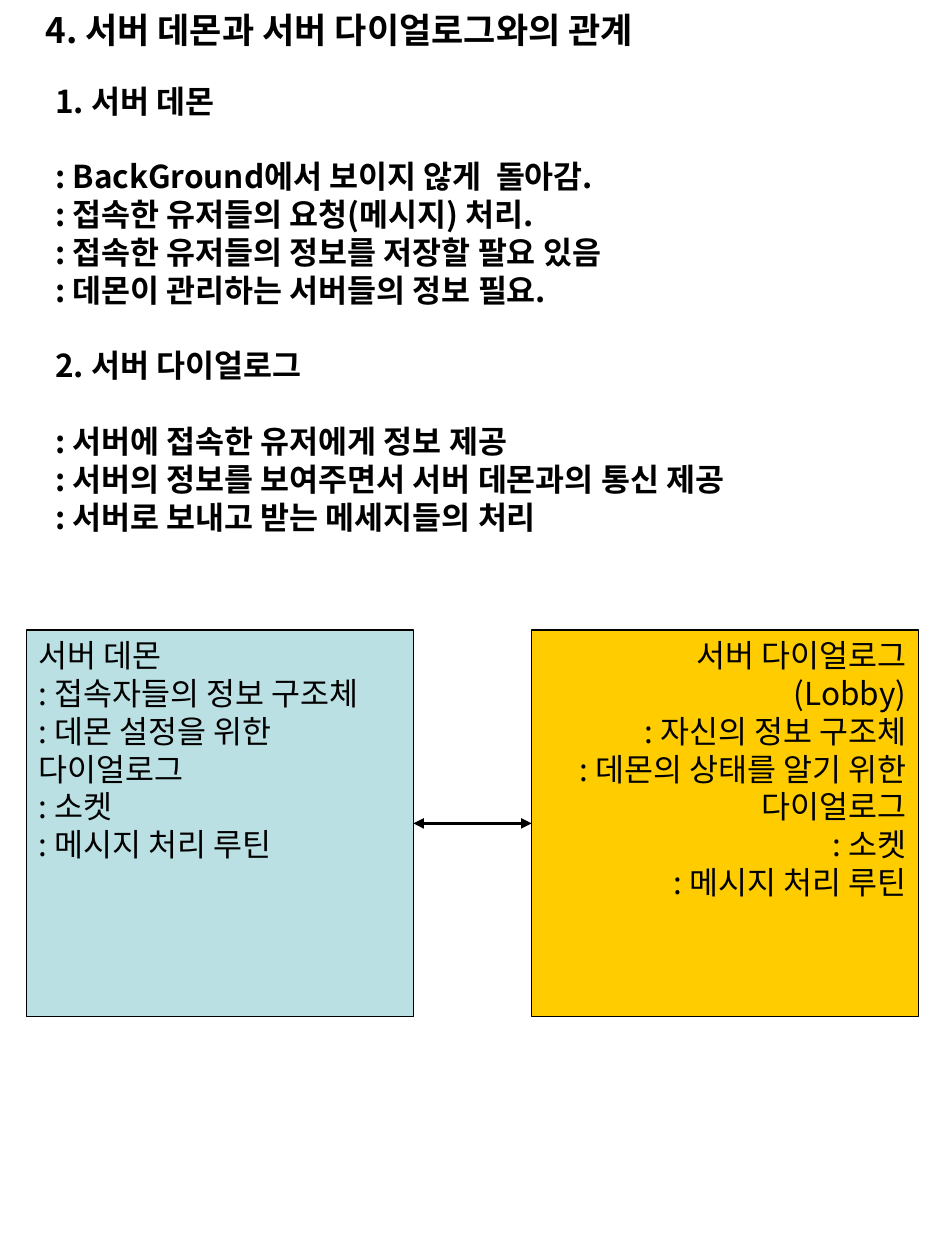
from pptx import Presentation
from pptx.dml.color import RGBColor as RGB
from pptx.enum.shapes import MSO_CONNECTOR as LINE, MSO_SHAPE as SHAPE
from pptx.enum.text import MSO_ANCHOR as ANCHOR, MSO_AUTO_SIZE as FIT, PP_ALIGN as ALIGN
from pptx.oxml.ns import qn
from pptx.util import Inches, Pt
from lxml.etree import SubElement as Sub

THEME = {
    "font": "Noto Sans CJK KR",
    "ink": RGB.from_string("000000"),
    "daemon": RGB.from_string("BBE0E3"),
    "dialog": RGB.from_string("FFCC00"),
    "title": 20,
    "body": 18,
    "pitch": 1.2,
}


def write(shape, lines, size, bold=False, align=ALIGN.LEFT):
    """Fill a shape with one paragraph per line."""
    frame = shape.text_frame
    frame.text = "\n".join(lines)
    frame.word_wrap = True
    frame.auto_size = FIT.NONE
    frame.vertical_anchor = ANCHOR.TOP
    for para in frame.paragraphs:
        para.alignment = align
        para.line_spacing = Pt(size * THEME["pitch"])
        for run in para.runs:
            font = run.font
            font.name, font.size, font.bold = THEME["font"], Pt(size), bold
            font.color.rgb = THEME["ink"]
            Sub(run._r.get_or_add_rPr(), qn("a:ea"), typeface=THEME["font"])


deck = Presentation()
deck.slide_width, deck.slide_height = Inches(7.5), Inches(10)
slide = deck.slides.add_slide(deck.slide_layouts[5])
shapes = slide.shapes

# Title
title = shapes.title
title.left, title.top = Inches(0.26), Inches(0.02)
title.width, title.height = Inches(5.01), Inches(0.44)
write(title, ["4. 서버 데몬과 서버 다이얼로그와의 관계"], THEME["title"], bold=True)
title.text_frame.word_wrap = False

# Notes on the two parts, with a blank line's gap around each heading
notes = [
    "1. 서버 데몬",
    ": BackGround에서 보이지 않게  돌아감.",
    ": 접속한 유저들의 요청(메시지) 처리.",
    ": 접속한 유저들의 정보를 저장할 팔요 있음",
    ": 데몬이 관리하는 서버들의 정보 필요.",
    "2. 서버 다이얼로그",
    ": 서버에 접속한 유저에게 정보 제공",
    ": 서버의 정보를 보여주면서 서버 데몬과의 통신 제공",
    ": 서버로 보내고 받는 메세지들의 처리",
]
body = shapes.add_textbox(Inches(0.34), Inches(0.6), Inches(6.79), Inches(4.08))
write(body, notes, THEME["body"], bold=True)
gap = Pt(THEME["body"] * THEME["pitch"])
for para in body.text_frame.paragraphs:
    if not para.text.startswith(":"):
        para.space_after = gap
        if para.text != notes[0]:
            para.space_before = gap

# Daemon and dialog boxes
parts = [
    (0.21, "daemon", ALIGN.LEFT,
     ["서버 데몬", ": 접속자들의 정보 구조체", ": 데몬 설정을 위한",
      "다이얼로그", ": 소켓", ": 메시지 처리 루틴"]),
    (4.22, "dialog", ALIGN.RIGHT,
     ["서버 다이얼로그", "(Lobby)", ": 자신의 정보 구조체",
      ": 데몬의 상태를 알기 위한", "다이얼로그", ": 소켓", ": 메시지 처리 루틴"]),
]
side = Inches(3.07)
boxes = []
for left, name, align, lines in parts:
    box = shapes.add_shape(SHAPE.RECTANGLE, Inches(left), Inches(5), side, side)
    box.shadow.inherit = False
    box.fill.solid()
    box.fill.fore_color.rgb = THEME[name]
    box.line.color.rgb = THEME["ink"]
    box.line.width = Pt(0.75)
    write(box, lines, THEME["body"], align=align)
    boxes.append(box)

# Two-way arrow between the boxes
link = shapes.add_connector(LINE.STRAIGHT, 0, 0, 0, 0)
link.begin_connect(boxes[0], 3)
link.end_connect(boxes[1], 1)
link.line.color.rgb = THEME["ink"]
link.line.width = Pt(2)
for end in ("a:headEnd", "a:tailEnd"):
    Sub(link.line._get_or_add_ln(), qn(end), type="triangle")
Sub(link._element.spPr, qn("a:effectLst"))

deck.save("out.pptx")
